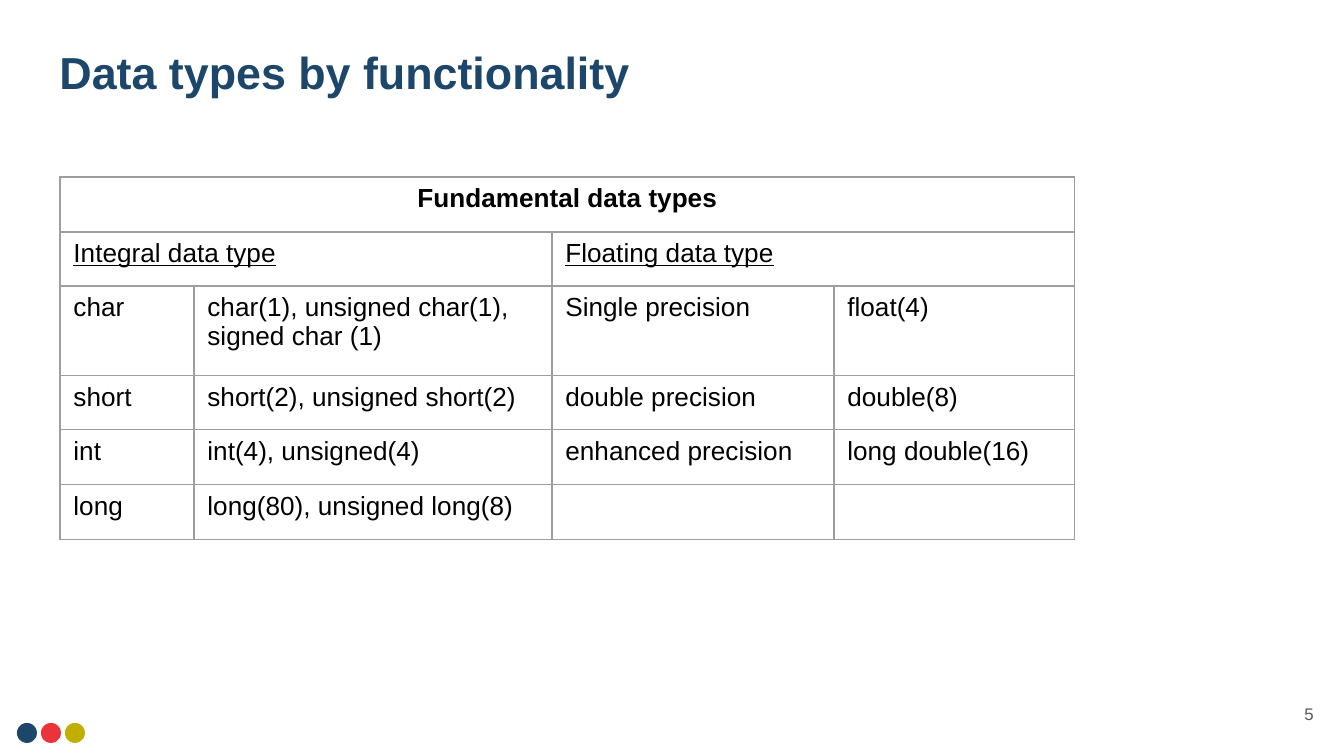
from itertools import accumulate

from lxml import etree
from pptx import Presentation
from pptx import util as u
from pptx.dml.color import RGBColor
from pptx.enum import shapes, text
from pptx.oxml.ns import qn

PX_PER_INCH = 134.4
NAVY = RGBColor(0x1D, 0x46, 0x6B)
RED = RGBColor(0xEB, 0x34, 0x3A)
OLIVE = RGBColor(0xC0, 0xAE, 0x00)
GRAY = RGBColor(0x59, 0x59, 0x59)
BORDER = RGBColor(0x9E, 0x9E, 0x9E)
BLACK = RGBColor(0, 0, 0)

COLUMN_WIDTHS = [134, 358, 282, 241]
ROW_HEIGHTS = [55, 54, 90, 54, 55, 54]
# Each row lists (text, columns spanned, extra format).
HEADER_ROWS = [
    [("Fundamental data types", 4,
      {"bold": True, "align": text.PP_ALIGN.CENTER})],
    [("Integral data type", 2, {"underline": True}),
     ("Floating data type", 2, {"underline": True})],
]
TYPE_ROWS = [
    ["char", "char(1), unsigned char(1), signed char (1)",
     "Single precision", "float(4)"],
    ["short", "short(2), unsigned short(2)", "double precision", "double(8)"],
    ["int", "int(4), unsigned(4)", "enhanced precision", "long double(16)"],
    ["long", "long(80), unsigned long(8)", "", ""],
]


def px(length):
    return u.Emu(round(length * 914400 / PX_PER_INCH))


def write(frame, content, size=14, color=BLACK, bold=False, underline=False,
          align=text.PP_ALIGN.LEFT):
    paragraph = frame.paragraphs[0]
    paragraph.alignment = align
    run = paragraph.add_run()
    run.text = content
    font = run.font
    font.name = "Arial"
    font.size = u.Pt(size)
    font.bold = bold
    font.underline = underline
    font.color.rgb = color


def set_borders(cell):
    """Draw a thin line on all four sides; lines must precede the fill."""
    properties = cell._tc.get_or_add_tcPr()
    for index, side in enumerate(("lnL", "lnR", "lnT", "lnB")):
        line = etree.Element(qn(f"a:{side}"), w=str(u.Pt(0.75)))
        fill = etree.SubElement(line, qn("a:solidFill"))
        etree.SubElement(fill, qn("a:srgbClr"), val=str(BORDER))
        properties.insert(index, line)


class SlideBuilder:
    def __init__(self, slide):
        self.slide = slide

    def format_frame(self, frame):
        frame.word_wrap = True
        frame.auto_size = text.MSO_AUTO_SIZE.NONE
        frame.vertical_anchor = text.MSO_ANCHOR.MIDDLE
        frame.margin_left = frame.margin_right = u.Inches(0.1)
        frame.margin_top = frame.margin_bottom = u.Inches(0.1)

    def title(self, content, left, top, width, height):
        title = self.slide.shapes.title
        title.left, title.top = px(left), px(top)
        title.width, title.height = px(width), px(height)
        self.format_frame(title.text_frame)
        write(title.text_frame, content, size=24, color=NAVY, bold=True)

    def text_box(self, content, left, top, width, height, **style):
        box = self.slide.shapes.add_textbox(
            px(left), px(top), px(width), px(height))
        self.format_frame(box.text_frame)
        write(box.text_frame, content, **style)

    def dot(self, left, top, diameter, color):
        dot = self.slide.shapes.add_shape(
            shapes.MSO_SHAPE.OVAL, px(left), px(top), px(diameter), px(diameter))
        dot.shadow.inherit = False
        dot.fill.solid()
        dot.fill.fore_color.rgb = color
        dot.line.fill.background()

    def table(self, left, top, widths, heights, rows):
        table = self.slide.shapes.add_table(
            len(heights), len(widths), px(left), px(top),
            px(sum(widths)), px(sum(heights))).table
        table.first_row = table.horz_banding = False
        for column, width in zip(table.columns, widths):
            column.width = px(width)
        for row, height in zip(table.rows, heights):
            row.height = px(height)
        for cell in table.iter_cells():
            cell.fill.background()
            set_borders(cell)
        for row_index, row in enumerate(rows):
            starts = accumulate((span for _, span, _ in row), initial=0)
            for start, (content, span, style) in zip(starts, row):
                cell = table.cell(row_index, start)
                if span > 1:
                    cell.merge(table.cell(row_index, start + span - 1))
                if content:
                    write(cell.text_frame, content, **style)


def main():
    presentation = Presentation()
    presentation.slide_width, presentation.slide_height = px(1344), px(756)
    slide = presentation.slides.add_slide(presentation.slide_layouts[5])
    builder = SlideBuilder(slide)

    for index, color in enumerate((NAVY, RED, OLIVE)):
        builder.dot(17 + 24 * index, 723, 20, color)
    builder.text_box("5", 1246, 685, 81, 58, size=9, color=GRAY,
                     align=text.PP_ALIGN.RIGHT)
    builder.title("Data types by functionality", 46, 13, 628, 117)
    type_rows = [[(content, 1, {}) for content in row] for row in TYPE_ROWS]
    builder.table(60, 177, COLUMN_WIDTHS, ROW_HEIGHTS, HEADER_ROWS + type_rows)
    presentation.save("out.pptx")


if __name__ == "__main__":
    main()
